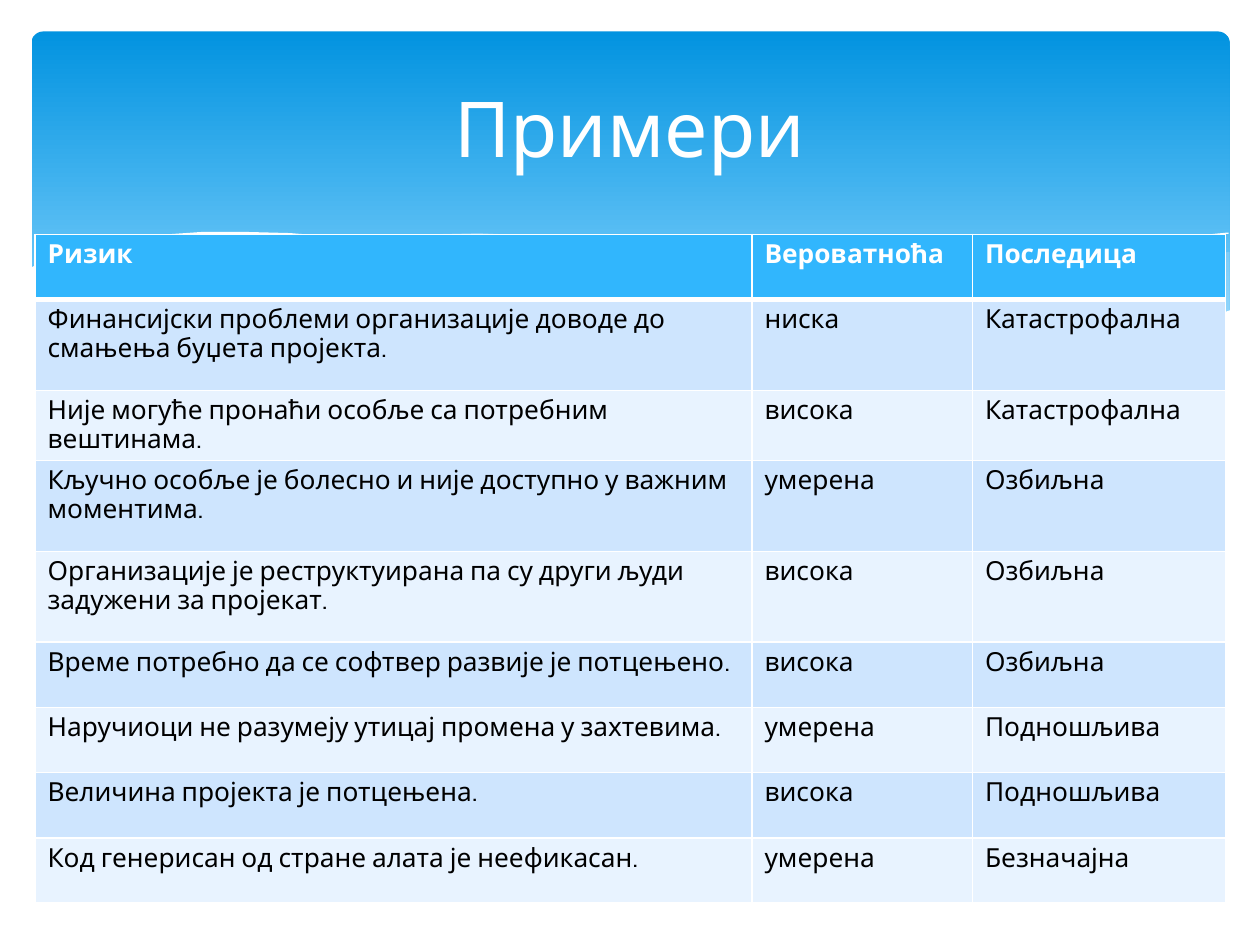
"""Build a slide with a table of project risks under a wavy blue banner."""
from lxml.etree import SubElement
from pptx import Presentation
from pptx.dml.color import RGBColor
from pptx.enum.shapes import MSO_SHAPE as Shape
from pptx.enum.text import MSO_ANCHOR as Anchor, PP_ALIGN as Align
from pptx.oxml.ns import qn
from pptx.util import Pt

WHITE, BLACK, SKY, PALE_WAVE = "FFFFFF", "000000", "31B6FD", "C6E7FC"
BANDS = ("CEE5FE", "E8F3FF")

RIGHT_WAVE = [
    (702, 144), (682.6, 146.9), (652.3, 153.4), (619.9, 160.6), (560.9, 174.2),
    (475.9, 190.8), (497.5, 193.7), (527, 197.3), (562.3, 199.4), (593.3, 199.4),
    (621.4, 198), (645.8, 194.4), (668.2, 189.4), (683.3, 185), (702.7, 177.8),
    (702.7, 144)]
MIDDLE_WAVE = [
    (643, 196.6), (602.6, 190.8), (558, 182.9), (508.3, 172.8), (452.9, 159.8),
    (409.7, 149.8), (370.1, 142.6), (334.8, 137.5), (302.4, 134.6), (273.6, 133.2),
    (247.7, 133.9), (205.9, 137.5), (246.2, 143.3), (290.9, 151.9), (323.3, 159.8),
    (381.6, 172.8), (432.7, 183.6), (478.8, 191.5), (519.8, 197.3), (556.6, 199.4),
    (589, 200.2), (617, 199.4)]
FALLING_LINE = [
    (222.5, 140.4), (247.7, 136.8), (288.7, 134.6), (337.7, 136.1), (383.8, 139.7),
    (437.8, 146.9), (500.4, 157.7), (572.4, 173.5), (653, 195.8)]
RISING_LINE = [
    (441.4, 185), (500.4, 169.2), (558.7, 155.5), (623.5, 143.3), (665.3, 136.8),
    (702, 133.2)]
WHITE_WAVE = [
    (703.4, 177.1), (676.8, 186.5), (647.3, 193.7), (612, 198), (582.5, 199.4),
    (535.7, 197.3), (481, 190.8), (416.9, 180), (362.2, 167.8), (321.8, 158.4),
    (262.8, 145.4), (210.2, 136.8), (165.6, 133.2), (139, 132.5), (115.9, 132.5),
    (85.7, 134.6), (61.2, 139), (42.5, 143.3), (25.9, 149), (16.6, 153.4),
    (16.6, 236.9), (703.4, 236.9)]

RISKS = [
    ("Ризик", "Вероватноћа", "Последица"),
    ("Финансијски проблеми организације доводе до смањења буџета пројекта.",
     "ниска", "Катастрофална"),
    ("Није могуће пронаћи особље са потребним вештинама.", "висока", "Катастрофална"),
    ("Кључно особље је болесно и није доступно у важним моментима.",
     "умерена", "Озбиљна"),
    ("Организације је реструктуирана па су други људи задужени за пројекат.",
     "висока", "Озбиљна"),
    ("Време потребно да се софтвер развије је потцењено.", "висока", "Озбиљна"),
    ("Наручиоци не разумеју утицај промена у захтевима.", "умерена", "Подношљива"),
    ("Величина пројекта је потцењена.", "висока", "Подношљива"),
    ("Код генерисан од стране алата је неефикасан.", "умерена", "Безначајна"),
]
COLUMN_WIDTHS = (409.7, 126, 144.7)
SHORT_ROW, TALL_ROW = 37.3, 51.9
TALL_ROWS = (1, 3, 4)


def color(hex_text):
    return RGBColor.from_string(hex_text)


class Painter:
    font = "Cabin"

    def __init__(self, page):
        self.page = page

    def style(self, frame, size, hex_text, bold=False, align=Align.LEFT):
        for para in frame.paragraphs:
            para.alignment = align
            para.line_spacing = 0.9
            for span in para.runs:
                span.font.name = self.font
                span.font.size = Pt(size)
                span.font.bold = bold
                span.font.color.rgb = color(hex_text)

    def banner(self, left, top, width, height, stops):
        box = self.page.shapes.add_shape(
            Shape.ROUNDED_RECTANGLE, Pt(left), Pt(top), Pt(width), Pt(height))
        box.adjustments[0] = 0.034
        box.shadow.inherit = False
        box.line.fill.background()
        box.fill.gradient()
        box.fill.gradient_angle = 270
        for stop, (position, hex_text) in zip(box.fill.gradient_stops, stops):
            stop.position = position
            stop.color.rgb = color(hex_text)

    def outline(self, points, closed):
        start, *rest = [(Pt(x), Pt(y)) for x, y in points]
        builder = self.page.shapes.build_freeform(*start, scale=1.0)
        builder.add_line_segments(rest, close=closed)
        shape = builder.convert_to_shape()
        shape.shadow.inherit = False
        return shape

    def wave(self, points, hex_text, opacity=100):
        shape = self.outline(points, True)
        shape.line.fill.background()
        shape.fill.solid()
        shape.fill.fore_color.rgb = color(hex_text)
        if opacity < 100:
            tint = shape.fill._xPr.find(qn("a:solidFill"))[0]
            SubElement(tint, qn("a:alpha"), val=str(opacity * 1000))

    def curve(self, points, hex_text):
        shape = self.outline(points, False)
        shape.fill.background()
        shape.line.color.rgb = color(hex_text)
        shape.line.width = Pt(0)

    def title(self, text, left, top, width, height):
        box = self.page.shapes.add_textbox(Pt(left), Pt(top), Pt(width), Pt(height))
        frame = box.text_frame
        frame.word_wrap = True
        frame.vertical_anchor = Anchor.MIDDLE
        frame.text = text
        self.style(frame, 44, WHITE, align=Align.CENTER)

    def borders(self, cell, hex_text, widths):
        properties = cell._tc.get_or_add_tcPr()
        for side, width in zip("LRTB", widths):
            line = SubElement(properties, qn(f"a:ln{side}"), w=str(Pt(width)))
            fill = SubElement(line, qn("a:solidFill"))
            SubElement(fill, qn("a:srgbClr"), val=hex_text)

    def table(self, rows, left, top, widths, heights):
        table = self.page.shapes.add_table(
            len(rows), len(widths), Pt(left), Pt(top),
            Pt(sum(widths)), Pt(sum(heights))).table
        for column, width in zip(table.columns, widths):
            column.width = Pt(width)
        for index, (values, height) in enumerate(zip(rows, heights)):
            header = index == 0
            table.rows[index].height = Pt(height)
            for cell, text in zip(table.rows[index].cells, values):
                cell.text_frame.text = text
                self.style(cell.text_frame, 15, WHITE if header else BLACK, header)
                self.borders(cell, WHITE,
                             (1, 1, 3 if index == 1 else 1, 3 if header else 1))
                cell.fill.solid()
                cell.fill.fore_color.rgb = color(
                    SKY if header else BANDS[(index - 1) % 2])


def main():
    deck = Presentation()
    deck.slide_width, deck.slide_height = Pt(720), Pt(540)
    painter = Painter(deck.slides.add_slide(deck.slide_layouts[6]))
    painter.banner(18, 18, 684.7, 194.4, [(0, "0293E0"), (0.9, "83D3FE")])
    painter.wave(RIGHT_WAVE, PALE_WAVE, 29)
    painter.wave(MIDDLE_WAVE, PALE_WAVE, 40)
    painter.curve(FALLING_LINE, WHITE)
    painter.curve(RISING_LINE, WHITE)
    painter.wave(WHITE_WAVE, WHITE)
    heights = [TALL_ROW if index in TALL_ROWS else SHORT_ROW
               for index in range(len(RISKS))]
    painter.table(RISKS, 20, 134, COLUMN_WIDTHS, heights)
    painter.title("Примери", 36, 26.6, 648, 98.6)
    deck.save("out.pptx")


if __name__ == "__main__":
    main()
